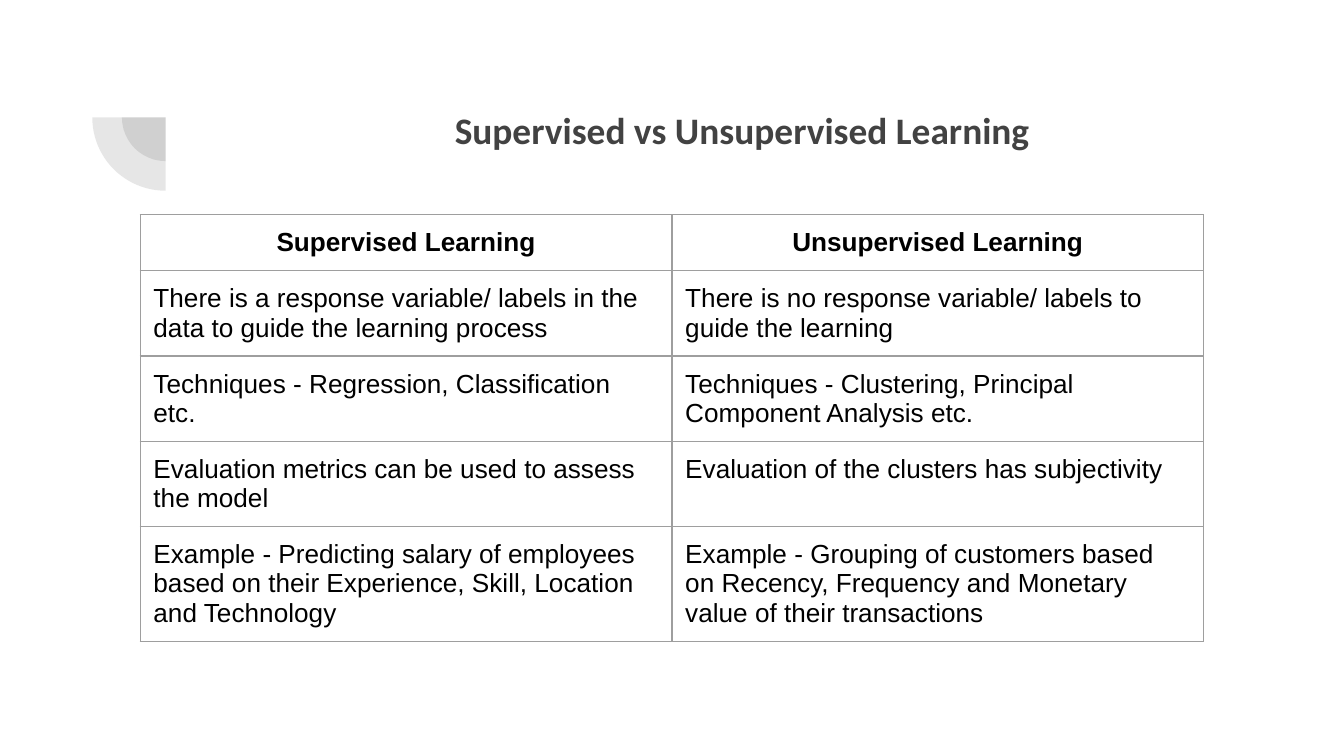
from dataclasses import dataclass

from lxml import etree
from pptx import Presentation
from pptx.dml.color import RGBColor
from pptx.enum.shapes import MSO_SHAPE
from pptx.enum.text import MSO_ANCHOR, MSO_AUTO_SIZE, PP_ALIGN
from pptx.oxml.ns import qn
from pptx.util import Cm, Pt

PIE = MSO_SHAPE.PIE
TOP = MSO_ANCHOR.TOP
NO_AUTOFIT = MSO_AUTO_SIZE.NONE
LEFT, CENTER = PP_ALIGN.LEFT, PP_ALIGN.CENTER


@dataclass(frozen=True)
class Theme:
    title_font: str = "Calibri"
    body_font: str = "Arial"
    title_size: float = 20
    body_size: float = 14
    dark: str = "424242"
    text: str = "000000"
    border: str = "9E9E9E"
    border_width: float = 0.75
    pie_opacity: int = 13
    inset: float = 0.25


COMPARISON = [
    ("Supervised Learning", "Unsupervised Learning"),
    ("There is a response variable/ labels in the data to guide the learning process",
     "There is no response variable/ labels to guide the learning"),
    ("Techniques - Regression, Classification etc.",
     "Techniques - Clustering, Principal Component Analysis etc."),
    ("Evaluation metrics can be used to assess the model",
     "Evaluation of the clusters has subjectivity"),
    ("Example - Predicting salary of employees based on their Experience, Skill, "
     "Location and Technology",
     "Example - Grouping of customers based on Recency, Frequency and Monetary "
     "value of their transactions"),
]


def write_text(text_frame, text, *, font, size, color, bold=False, align=LEFT):
    paragraph = text_frame.paragraphs[0]
    paragraph.alignment = align
    run = paragraph.add_run()
    run.text = text
    run.font.name = font
    run.font.size = Pt(size)
    run.font.bold = bold
    run.font.color.rgb = RGBColor.from_string(color)
    return paragraph


def set_insets(target, inset):
    """Set equal margins on a text frame or a table cell."""
    target.margin_left = target.margin_right = Cm(inset)
    target.margin_top = target.margin_bottom = Cm(inset)


def set_borders(cell, color, width):
    properties = cell._tc.get_or_add_tcPr()
    for position, side in enumerate(("a:lnL", "a:lnR", "a:lnT", "a:lnB")):
        line = etree.Element(qn(side), w=str(Pt(width)))
        fill = etree.SubElement(line, qn("a:solidFill"))
        etree.SubElement(fill, qn("a:srgbClr"), val=color)
        properties.insert(position, line)


class SlideBuilder:
    """Holds the theme and the slide being built."""

    def __init__(self, presentation, theme):
        self.theme = theme
        self.slide = presentation.slides.add_slide(presentation.slide_layouts[5])

    def add_quarter(self, center_x, center_y, diameter):
        """Add a translucent quarter disc that fills the lower left of a circle."""
        corner = Cm(center_x - diameter / 2), Cm(center_y - diameter / 2)
        shape = self.slide.shapes.add_shape(PIE, *corner, Cm(diameter), Cm(diameter))
        shape.adjustments[0] = 108
        shape.adjustments[1] = 162
        shape.rotation = 270
        shape.shadow.inherit = False
        shape.line.fill.background()
        shape.fill.solid()
        shape.fill.fore_color.rgb = RGBColor.from_string(self.theme.dark)
        color = shape._element.spPr.find(qn("a:solidFill")).find(qn("a:srgbClr"))
        etree.SubElement(color, qn("a:alpha"), val=str(self.theme.pie_opacity * 1000))

    def add_title(self, text, left, top, width, height):
        title = self.slide.shapes.title
        title.left, title.top = Cm(left), Cm(top)
        title.width, title.height = Cm(width), Cm(height)
        frame = title.text_frame
        frame.word_wrap = True
        frame.auto_size = NO_AUTOFIT
        frame.vertical_anchor = TOP
        set_insets(frame, self.theme.inset)
        paragraph = write_text(frame, text, font=self.theme.title_font,
                               size=self.theme.title_size, color=self.theme.dark,
                               bold=True, align=CENTER)
        paragraph.line_spacing = 1.15
        paragraph.space_before = Pt(0)
        paragraph.space_after = Pt(16)
        properties = paragraph._p.get_or_add_pPr()
        properties.set("marL", str(Cm(1.27)))
        properties.set("indent", "0")

    def add_table(self, rows, left, top, column_width, row_height):
        column_count = len(rows[0])
        table = self.slide.shapes.add_table(
            len(rows), column_count, Cm(left), Cm(top),
            Cm(column_width * column_count), Cm(row_height * len(rows))).table
        table.first_row = table.horz_banding = False
        for column in table.columns:
            column.width = Cm(column_width)
        for row_index, row in enumerate(rows):
            table.rows[row_index].height = Cm(row_height)
            is_header = row_index == 0
            for column_index, text in enumerate(row):
                cell = table.cell(row_index, column_index)
                cell.fill.background()
                cell.vertical_anchor = TOP
                set_insets(cell, self.theme.inset)
                set_borders(cell, self.theme.border, self.theme.border_width)
                write_text(cell.text_frame, text, font=self.theme.body_font,
                           size=self.theme.body_size, color=self.theme.text,
                           bold=is_header, align=CENTER if is_header else LEFT)


def main():
    presentation = Presentation()
    presentation.slide_width, presentation.slide_height = Cm(25.4), Cm(14.29)
    builder = SlideBuilder(presentation, Theme())
    for diameter in (1.65, 2.77):
        builder.add_quarter(3.13, 2.22, diameter)
    builder.add_title("Supervised vs Unsupervised Learning", 3.63, 1.65, 19.53, 2.77)
    builder.add_table(COMPARISON, left=2.65, top=4.06, column_width=10.05, row_height=1.06)
    presentation.save("out.pptx")


if __name__ == "__main__":
    main()
